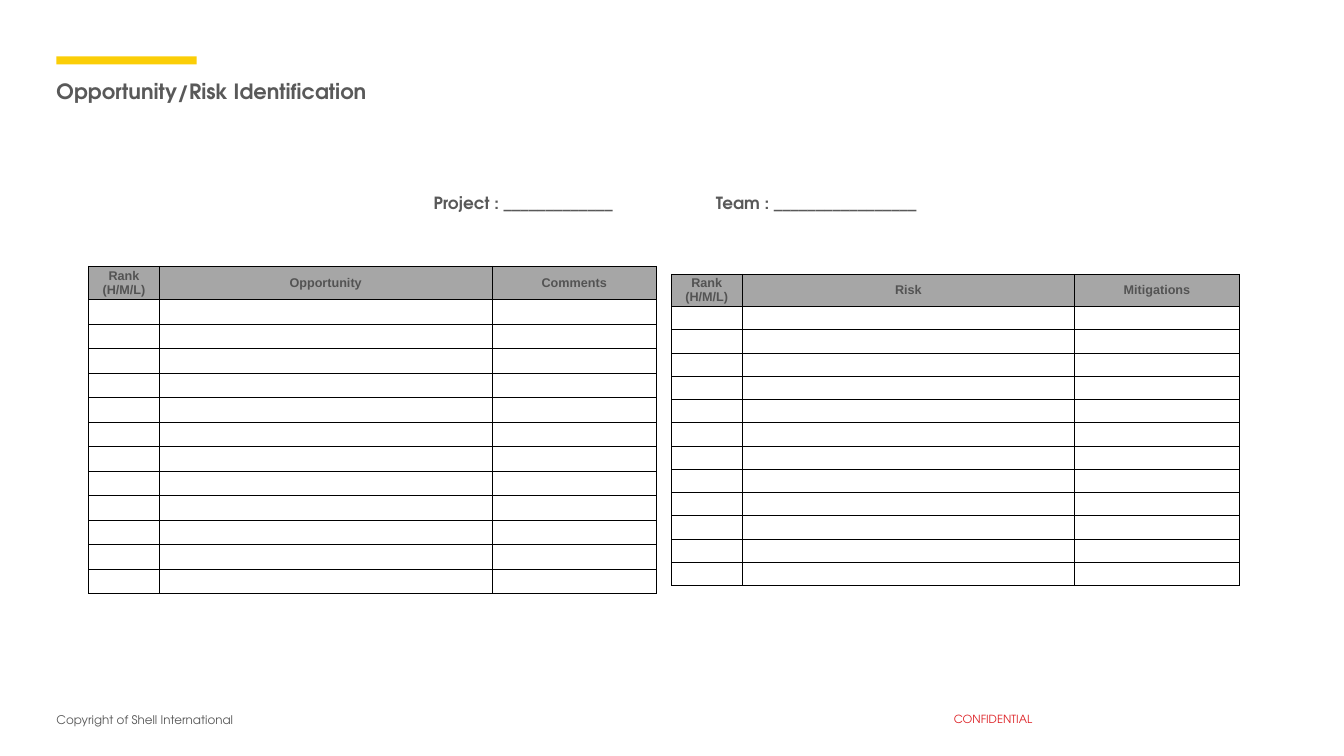
import pptx
import pptx.dml.color
import pptx.enum.shapes
import pptx.enum.text
import pptx.oxml
import pptx.oxml.ns
import pptx.util
from pptx.util import Inches

RGBColor = pptx.dml.color.RGBColor
ALIGN = pptx.enum.text.PP_ALIGN

YELLOW = RGBColor(0xFB, 0xCE, 0x07)
RED = RGBColor(0xDD, 0x1D, 0x21)
TEXT_GREY = RGBColor(0x59, 0x59, 0x59)
HEADER_TEXT = RGBColor(0x53, 0x53, 0x53)
HEADER_FILL = RGBColor(0xA6, 0xA6, 0xA6)
WHITE = RGBColor(0xFF, 0xFF, 0xFF)

BRAND_FONT = "TeX Gyre Adventor"
NAMESPACE = pptx.oxml.ns.nsdecls("a")
BORDER = (
    '<a:{side} {namespace} w="6350"><a:solidFill><a:srgbClr val="000000"/>'
    "</a:solidFill></a:{side}>"
)


def write_text(paragraph, text, size, color, name=BRAND_FONT, bold=False):
    run = paragraph.add_run()
    run.text = text
    run.font.color.rgb = color
    font_format = {"size": pptx.util.Pt(size), "name": name, "bold": bold}
    for attribute, value in font_format.items():
        setattr(run.font, attribute, value)


def add_text(box, text, size, color, bold=False, align=ALIGN.LEFT, wrap=True, bottom=0):
    frame = slide.shapes.add_textbox(*map(Inches, box)).text_frame
    frame_format = {
        "word_wrap": wrap,
        "margin_left": 0,
        "margin_top": 0,
        "margin_right": 0,
        "margin_bottom": Inches(bottom),
    }
    for attribute, value in frame_format.items():
        setattr(frame, attribute, value)
    paragraph = frame.paragraphs[0]
    paragraph.alignment = align
    write_text(paragraph, text, size, color, bold=bold)
    return paragraph


presentation = pptx.Presentation()
presentation.slide_width = Inches(13.33)
presentation.slide_height = Inches(7.5)
slide = presentation.slides.add_slide(presentation.slide_layouts[6])

# Accent bar and title
bar = slide.shapes.add_shape(
    pptx.enum.shapes.MSO_SHAPE.RECTANGLE,
    Inches(0.56), Inches(0.56), Inches(1.39), Inches(0.08),
)
bar.shadow.inherit = False
bar.fill.solid()
bar.fill.fore_color.rgb = YELLOW
bar.line.fill.background()
add_text((0.56, 0.78, 12.22, 0.82), "Opportunity/Risk Identification", 15, TEXT_GREY, bold=True)

# Project and team blanks, set apart by a tab stop
blanks = add_text(
    (4.3, 1.89, 4.84, 0.46),
    "Project : _____________\tTeam : _________________",
    12, TEXT_GREY, bold=True,
)
blanks.line_spacing = 1.13
tab_list = pptx.oxml.parse_xml(
    f'<a:tabLst {NAMESPACE}><a:tab pos="{Inches(2.8)}" algn="l"/></a:tabLst>'
)
blanks._p.get_or_add_pPr().append(tab_list)

# Opportunity and risk tables
COLUMN_WIDTHS = (0.7, 3.3, 1.63)
EMPTY_ROWS = 12
CELL_FORMAT = {
    "margin_left": 0,
    "margin_top": 0,
    "margin_right": 0,
    "margin_bottom": 0,
    "vertical_anchor": pptx.enum.text.MSO_ANCHOR.MIDDLE,
}
TABLES = (
    (0.88, 2.64, 3.25, 0.33, ("Rank (H/M/L)", "Opportunity", "Comments")),
    (6.66, 2.72, 3.09, 0.32, ("Rank (H/M/L)", "Risk", "Mitigations")),
)
for left, top, height, header_height, headings in TABLES:
    table = slide.shapes.add_table(
        EMPTY_ROWS + 1, len(headings),
        Inches(left), Inches(top), Inches(sum(COLUMN_WIDTHS)), Inches(height),
    ).table
    for column, width in zip(table.columns, COLUMN_WIDTHS):
        column.width = Inches(width)
    for row_index, row in enumerate(table.rows):
        is_header = row_index == 0
        row.height = Inches(header_height if is_header else (height - header_height) / EMPTY_ROWS)
        for cell, heading in zip(row.cells, headings):
            for attribute, value in CELL_FORMAT.items():
                setattr(cell, attribute, value)
            for side in ("lnL", "lnR", "lnT", "lnB"):
                border = BORDER.format(side=side, namespace=NAMESPACE)
                cell._tc.get_or_add_tcPr().append(pptx.oxml.parse_xml(border))
            cell.fill.solid()
            cell.fill.fore_color.rgb = HEADER_FILL if is_header else WHITE
            paragraph = cell.text_frame.paragraphs[0]
            if is_header:
                paragraph.alignment = ALIGN.CENTER
                write_text(paragraph, heading, 9, HEADER_TEXT, name="Arial", bold=True)
            else:
                # Small type keeps the empty rows from growing
                end_format = pptx.oxml.parse_xml(f'<a:endParaRPr {NAMESPACE} sz="900"/>')
                paragraph._p.append(end_format)

# Footer
add_text(
    (0.56, 7.07, 3.67, 0.26), "Copyright of Shell International",
    8.5, TEXT_GREY, wrap=False, bottom=0.05,
)
add_text(
    (9.26, 7.07, 1.18, 0.19), "CONFIDENTIAL",
    8, RED, align=ALIGN.CENTER, bottom=0.05,
)

presentation.save("out.pptx")
